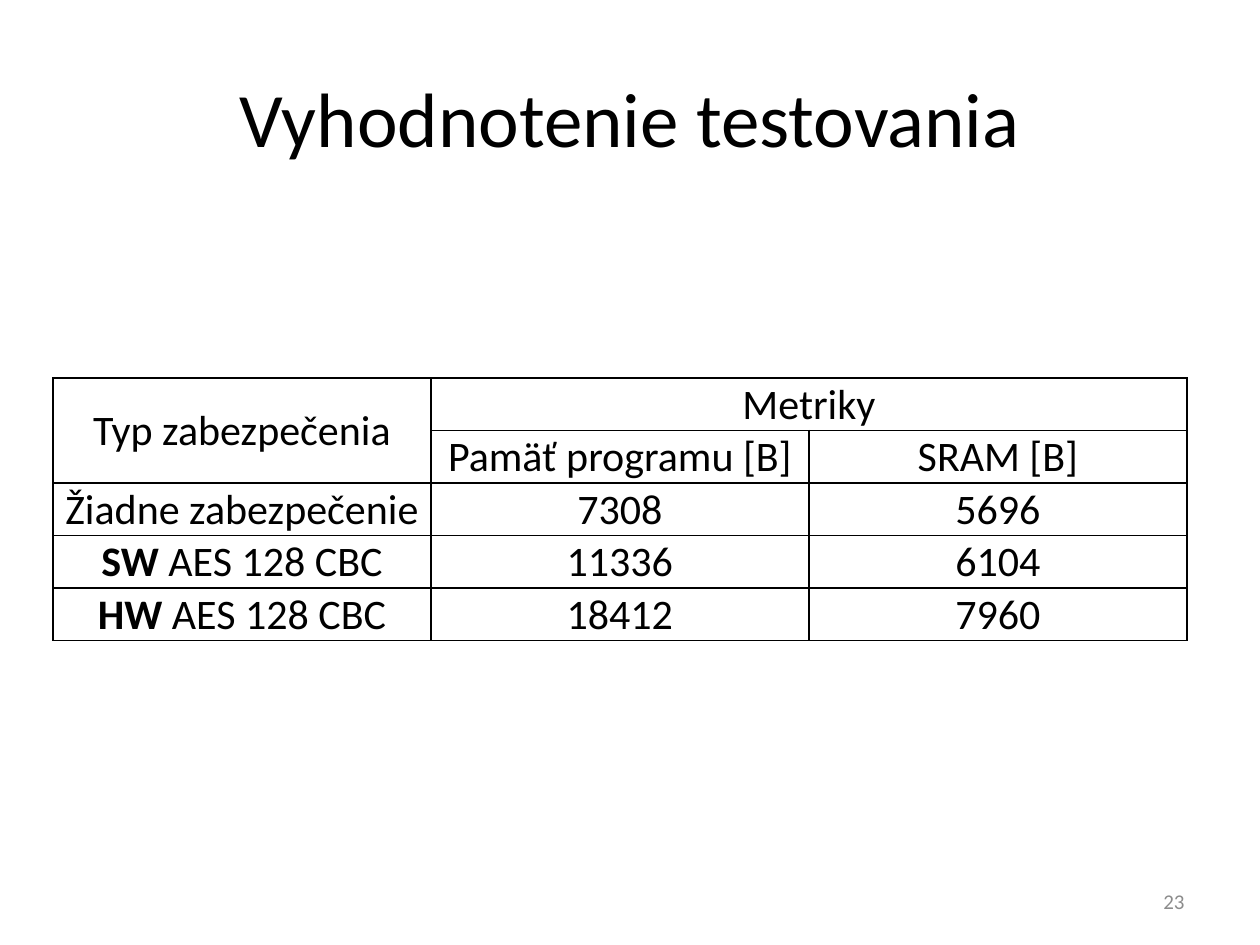
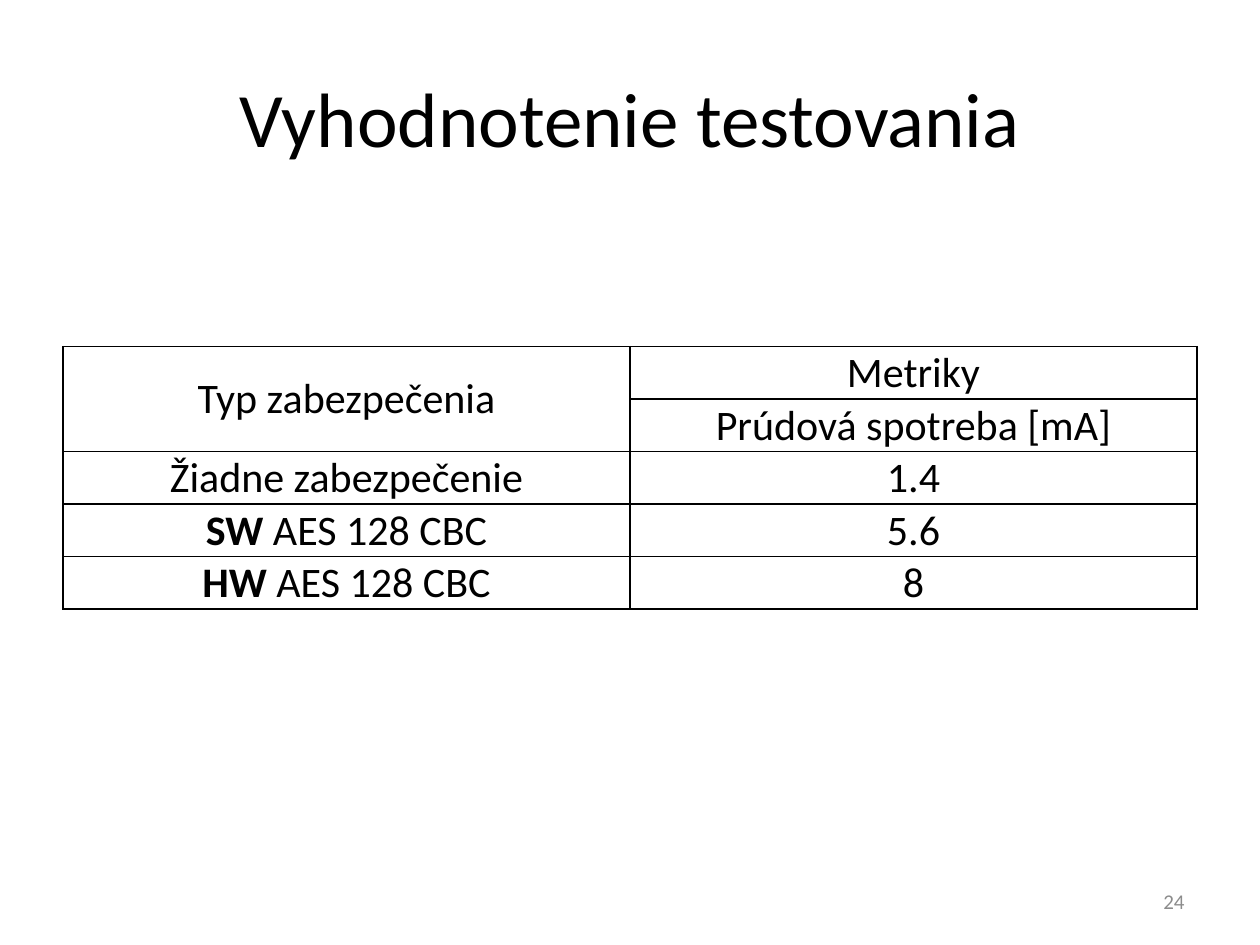
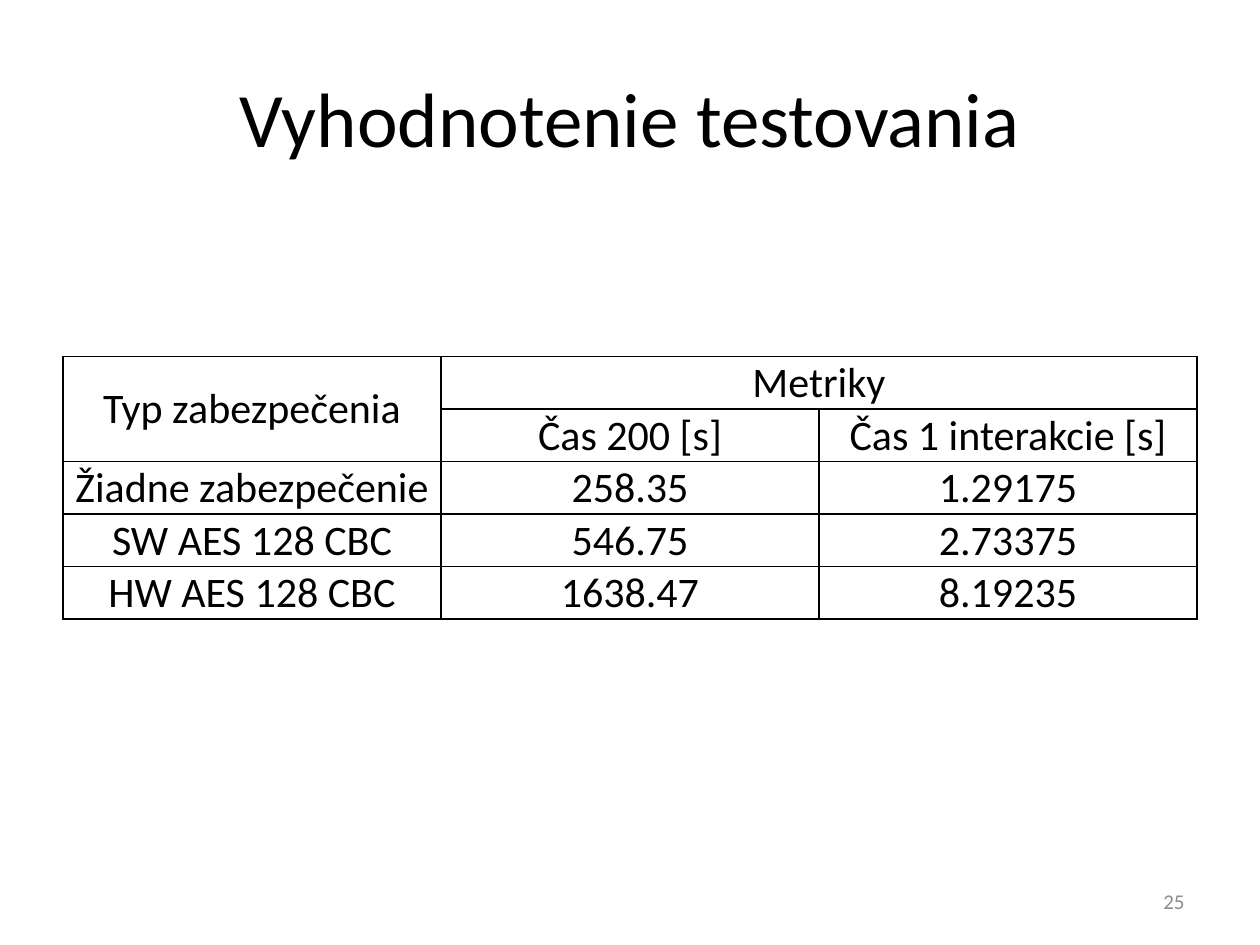
from lxml.etree import SubElement
from pptx import Presentation
from pptx.dml.color import RGBColor
from pptx.enum.text import MSO_ANCHOR as Anchor, PP_ALIGN as Align
from pptx.oxml.ns import qn
from pptx.util import Inches, Pt

COLORS = {"text": "000000", "border": "000000", "number": "8C8C8C", "back": "FFFFFF"}
FONT = "Calibri"
TITLE = "Vyhodnotenie testovania"
TITLE_BOX = (0.5, 0.3, 9, 1.25)
NUMBER_BOX = (7.17, 6.95, 2.33, 0.4)
ROW_HEIGHT = 0.41
FIRST_NUMBER = 23

NONE, SW, HW = "Žiadne zabezpečenie", "SW AES 128 CBC", "HW AES 128 CBC"

# One entry per slide: table box (left, top, width), metrics, measured values
RESULTS = [
    {"box": (0.42, 3, 9), "bold_kind": True,
     "metrics": ["Pamäť programu [B]", "SRAM [B]"],
     "rows": [[NONE, "7308", "5696"], [SW, "11336", "6104"], [HW, "18412", "7960"]]},
    {"box": (0.5, 2.75, 9), "bold_kind": True,
     "metrics": ["Prúdová spotreba [mA]"],
     "rows": [[NONE, "1.4"], [SW, "5.6"], [HW, "8"]]},
    {"box": (0.5, 2.83, 9), "bold_kind": False,
     "metrics": ["Čas 200 [s]", "Čas 1 interakcie [s]"],
     "rows": [[NONE, "258.35", "1.29175"], [SW, "546.75", "2.73375"],
              [HW, "1638.47", "8.19235"]]},
]


def style(p, size, color, align):
    p.alignment = align
    p.font.size = Pt(size)
    p.font.name = FONT
    p.font.color.rgb = RGBColor.from_string(COLORS[color])


def add_title(slide, box):
    title = slide.shapes.title
    title.left, title.top, title.width, title.height = map(Inches, box)
    tf = title.text_frame
    tf.text = TITLE
    tf.vertical_anchor = Anchor.MIDDLE
    style(tf.paragraphs[0], 44, "text", Align.CENTER)


def add_number(slide, box, number):
    tf = slide.shapes.add_textbox(*map(Inches, box)).text_frame
    tf.word_wrap = True
    tf.vertical_anchor = Anchor.MIDDLE
    tf.text = str(number)
    style(tf.paragraphs[0], 12, "number", Align.RIGHT)


def add_borders(cell):
    tc_pr = cell._tc.get_or_add_tcPr()
    for side in ("lnL", "lnR", "lnT", "lnB"):
        ln = SubElement(tc_pr, qn(f"a:{side}"), w=str(Pt(1)))
        fill = SubElement(ln, qn("a:solidFill"))
        SubElement(fill, qn("a:srgbClr"), val=COLORS["border"])


def fill_cell(cell, text, bold_kind):
    add_borders(cell)
    cell.fill.background()
    cell.margin_left = cell.margin_right = cell.margin_top = Inches(0.01)
    cell.margin_bottom = 0
    cell.vertical_anchor = Anchor.BOTTOM
    p = cell.text_frame.paragraphs[0]
    style(p, 24, "text", Align.CENTER)
    if bold_kind and text in (SW, HW):
        kind, cipher = text.split(" ", 1)
        r = p.add_run()
        r.text = kind + " "
        r.font.bold = True
        p.add_run().text = cipher
    elif text:
        p.add_run().text = text


def add_results(slide, box, metrics, rows, bold_kind):
    left, top, width = box
    blanks = [""] * (len(metrics) - 1)
    grid = [["Typ zabezpečenia", "Metriky", *blanks], ["", *metrics], *rows]
    n_rows, n_cols = len(grid), len(grid[0])
    table = slide.shapes.add_table(
        n_rows, n_cols, Inches(left), Inches(top),
        Inches(width), Inches(ROW_HEIGHT * n_rows)).table
    table.first_row = table.horz_banding = False
    for column in table.columns:
        column.width = Inches(width / n_cols)
    for i, texts in enumerate(grid):
        table.rows[i].height = Inches(ROW_HEIGHT)
        for j, text in enumerate(texts):
            fill_cell(table.cell(i, j), text, bold_kind)

    # Header spans
    corner = table.cell(0, 0)
    corner.merge(table.cell(1, 0))
    corner.vertical_anchor = Anchor.MIDDLE
    if blanks:
        table.cell(0, 1).merge(table.cell(0, n_cols - 1))


def main():
    prs = Presentation()
    prs.slide_width, prs.slide_height = Inches(10), Inches(7.5)
    background = prs.slide_master.background.fill
    background.solid()
    background.fore_color.rgb = RGBColor.from_string(COLORS["back"])
    for number, result in enumerate(RESULTS, FIRST_NUMBER):
        slide = prs.slides.add_slide(prs.slide_layouts.get_by_name("Title Only"))
        add_title(slide, TITLE_BOX)
        add_results(slide, **result)
        add_number(slide, NUMBER_BOX, number)
    prs.save("out.pptx")


if __name__ == "__main__":
    main()
